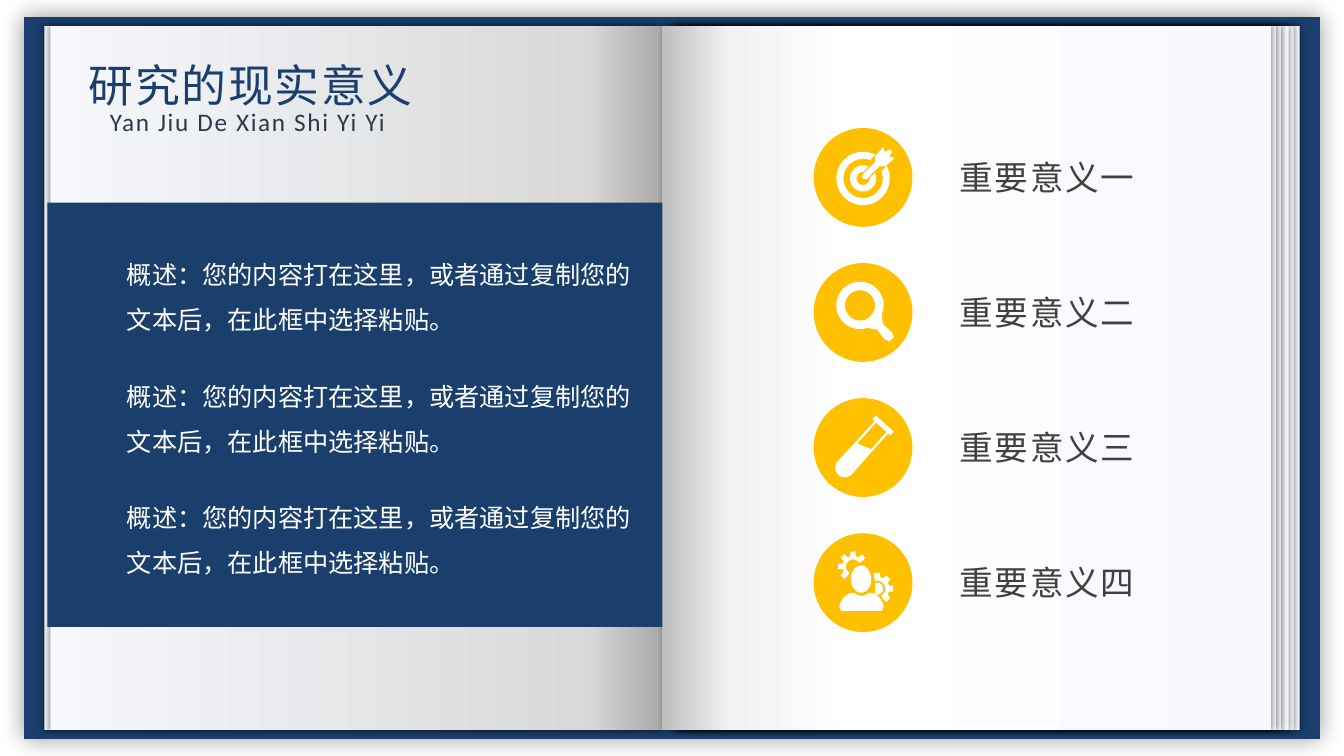
"""Build an open-book slide with three summaries and four icon points."""
import math
from lxml import etree
from pptx import Presentation
from pptx.dml.color import RGBColor
from pptx.enum import shapes, text
from pptx.oxml import parse_xml
from pptx.oxml.ns import nsdecls, qn
from pptx.util import Pt

PX = 9144
NAVY, WHITE, GOLD, BLACK = "1A3F6C", "FFFFFF", "FFC000", "000000"
HAN = "Noto Sans CJK SC"
TITLE, PINYIN = "研究的现实意义", "Yan Jiu De Xian Shi Yi Yi"
NOTE = "概述：您的内容打在这里，或者通过复制您的文本后，在此框中选择粘贴。"
NOTE_TOPS = [237, 358, 478]
LABELS = ["重要意义一", "重要意义二", "重要意义三", "重要意义四"]
LEFT, TOP, STEP, DISC = 807, 127, 134, 98

EDGE = [(0, "F6F8FC"), (87, "D9D9D9"), (100, "A6A6A6")]
UNDER = [(0, "F6F8FC"), (62, "FFFFFF"), (89, "F2F2F2"), (100, "D9D9D9")]
PAGE = [(0, "F6F8FC"), (69, "FFFFFF"), (89, "F2F2F2"), (100, "BFBFBF")]
PAGES = [(44, 612, EDGE, 0), (50, 612, EDGE, 0), (677, 612, EDGE, 180),
         (671, 612, EDGE, 180), (666, 612, UNDER, 180), (667, 604, PAGE, 180),
         (662, 604, PAGE, 180), (657, 604, PAGE, 180)]

DART = [(0, 1), (2, 3), (20, 3), (24, 7), (36, 8), (34, 3), (39, 2)]
GRIP = [(29, 4), (41, 5), (46, 3)]
RIM = [(54, 9), (54, 12), (59, 12)]
TORSO = [(0, 20), (4, 22), (8, 21), (13, 18), (17, 13), (18, 8), (15, 2)]


def arc(wide, start, end, tall=None):
    """Return points on an arc about zero, in clockwise degrees."""
    count = max(4, round(abs(end - start) / 8))
    turns = [math.radians(start + (end - start) * i / count) for i in range(count + 1)]
    return [(wide * math.cos(t), (tall or wide) * math.sin(t)) for t in turns]


def mirror(half):
    """Close a half outline across its long axis."""
    return half + [(along, -off) for along, off in reversed(half)]


def place(loop, x, y, angle=0):
    """Turn an outline by an angle and move it to a point."""
    cos, sin = math.cos(math.radians(angle)), math.sin(math.radians(angle))
    return [(x + a * cos - b * sin, y + a * sin + b * cos) for a, b in loop]


def ring(outer, inner, gap):
    """Return a ring with a parallel slot along its axis."""
    wide, slim = [math.degrees(math.asin(gap / r)) for r in (outer, inner)]
    return arc(outer, wide, 360 - wide) + arc(inner, 360 - slim, slim)


def gear(root, tip, hole, first, teeth):
    """Return part of a gear with eight teeth to the turn."""
    last = first + (teeth - 1) * 45
    rim = [point for mid in range(first, last + 1, 45)
           for radius, turn in ((root, -15), (tip, -10), (tip, 10), (root, 15))
           for point in arc(radius, mid + turn, mid + turn)[:1]]
    return rim + arc(hole, last + 15, first - 15)


def target():
    """Return a two-ring target hit by a dart."""
    parts = [ring(26.5, 19.5, 8), ring(13, 6.5, 4.5), mirror(DART)]
    return [place(part, 0, 1, -45) for part in parts]


def lens():
    """Return a magnifying glass."""
    frame = arc(23.5, 335, 25) + mirror(GRIP)
    return [place(part, -3, -7, 47) for part in (frame, arc(15, 0, 360))]


def tube():
    """Return a test tube, half full."""
    glass = mirror(arc(9.5, 180, 90) + RIM)
    air = [(31, 7), (26, -7), (54, -7), (54, 7)]
    return [place(part, -18, 20, -48) for part in (glass, air)]


def expert():
    """Return a person in front of two gears."""
    return [place(mirror(TORSO), -1.5, 28, -90),
            place(arc(10, 0, 360, 13.5), -2, -3.5),
            place(gear(10.5, 15, 7, 135, 5), -10, -16),
            place(gear(12, 16, 8, -90, 4), 14, 6),
            place(arc(6, -110, 110), 14, 6)]


def paint(shape, color):
    """Fill a shape with one plain colour and no outline."""
    shape.shadow.inherit = False
    shape.line.fill.background()
    shape.fill.solid()
    shape.fill.fore_color.rgb = RGBColor.from_string(color)
    return shape


def draw(kind, box, color):
    """Add a plain preset shape."""
    return paint(slide.shapes.add_shape(kind, *[v * PX for v in box]), color)


def trace(loops, x, y):
    """Draw closed outlines about a point as one white freeform."""
    loops = [[(round(a * PX), round(b * PX)) for a, b in place(loop, x, y)] for loop in loops]
    pen = slide.shapes.build_freeform(*loops[0][0])
    for loop in loops:
        pen.move_to(*loop[0])
        pen.add_line_segments(loop[1:], close=True)
    paint(pen.convert_to_shape(), WHITE)


def shade(shape, blur, gap, turn):
    """Give a shape a soft black shadow."""
    glow = shape.element.spPr.find(qn("a:effectLst"))
    glow.append(parse_xml(
        f'<a:outerShdw {nsdecls("a")} blurRad="{Pt(blur)}" dist="{Pt(gap)}" '
        f'dir="{turn * 60000}" algn="ctr" rotWithShape="0"><a:srgbClr val="{BLACK}">'
        '<a:alpha val="40000"/></a:srgbClr></a:outerShdw>'))


def blend(shape, stops):
    """Replace a plain fill by a level gradient."""
    marks = "".join(f'<a:gs pos="{p * 1000}"><a:srgbClr val="{c}"/></a:gs>' for p, c in stops)
    props = shape.element.spPr
    props.replace(props.find(qn("a:solidFill")), parse_xml(
        f'<a:gradFill {nsdecls("a")} rotWithShape="1"><a:gsLst>{marks}</a:gsLst>'
        '<a:lin ang="0" scaled="0"/></a:gradFill>'))


def write(words, box, size, color, font=HAN, space=0, align="CENTER", lead=None,
          indent=0, holder=None):
    """Put formatted text in a new box or in a given placeholder."""
    left, top, width, height = [v * PX for v in box]
    shape = holder or slide.shapes.add_textbox(left, top, width, height)
    shape.left, shape.top, shape.width, shape.height = left, top, width, height
    frame = shape.text_frame
    frame.word_wrap = True
    frame.auto_size = text.MSO_AUTO_SIZE.NONE
    frame.vertical_anchor = text.MSO_ANCHOR.TOP
    para = frame.paragraphs[0]
    para.alignment = getattr(text.PP_ALIGN, align)
    if lead:
        para.line_spacing = lead
    if indent:
        para._p.get_or_add_pPr().set("marL", str(indent * PX))
    run = para.add_run()
    run.text = words
    run.font.size = Pt(size)
    run.font.color.rgb = RGBColor.from_string(color)
    run.font.name = font
    props = run._r.get_or_add_rPr()
    props.set("spc", str(space))
    etree.SubElement(props, qn("a:ea")).set("typeface", font)


deck = Presentation()
deck.slide_width, deck.slide_height = 1333 * PX, 750 * PX
slide = deck.slides.add_slide(deck.slide_layouts[5])
RECT, OVAL = shapes.MSO_SHAPE.RECTANGLE, shapes.MSO_SHAPE.OVAL

shade(draw(RECT, (24, 17, 1285, 716), NAVY), 16, 0, 0)
for left, width, stops, turn in PAGES:
    leaf = draw(RECT, (left, 26, width, 698), WHITE)
    blend(leaf, stops)
    leaf.rotation = turn
    shade(leaf, 4, 1, 180 - turn)

title = slide.shapes.title
title.element.getparent().append(title.element)
write(TITLE, (66, 52, 366, 64), 32, NAVY, space=120, holder=title)
write(PINYIN, (71, 101, 349, 40), 18, "2A3A4A", font="Calibri", space=120)
draw(RECT, (47, 201, 610, 421), NAVY)
for top in NOTE_TOPS:
    write(NOTE, (66, top, 591, 96), 18, WHITE, align="LEFT", lead=1.5, indent=50)

for row, (label, icon) in enumerate(zip(LABELS, (target, lens, tube, expert))):
    top = TOP + row * STEP
    draw(OVAL, (LEFT, top, DISC, DISC), GOLD)
    trace(icon(), LEFT + DISC / 2, top + DISC / 2)
    write(label, (910, top + 24, 257, 50), 24, "404040", space=120)

deck.save("out.pptx")
